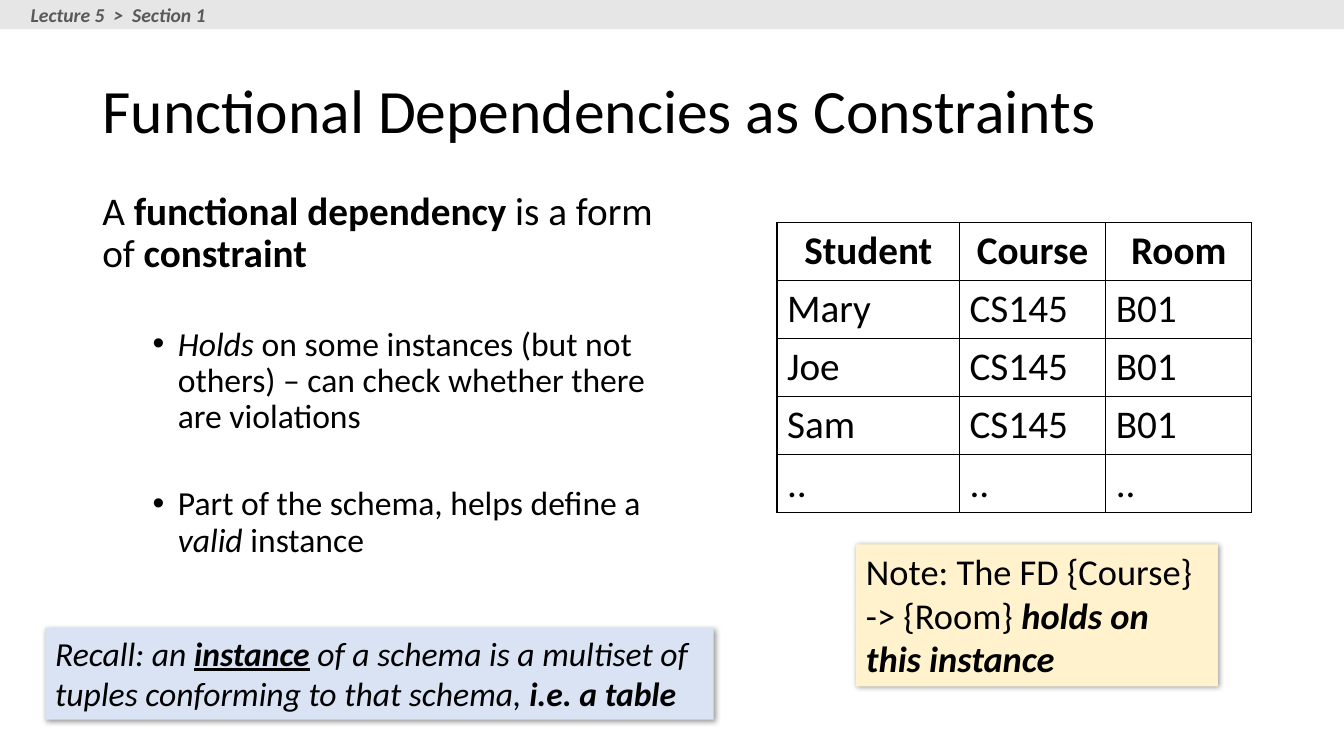
from dataclasses import dataclass

from lxml import etree
from pptx import Presentation
from pptx.dml.color import RGBColor
from pptx.enum.shapes import MSO_SHAPE
from pptx.enum.text import MSO_ANCHOR, MSO_AUTO_SIZE, PP_ALIGN
from pptx.oxml import parse_xml
from pptx.oxml.ns import nsdecls, qn
from pptx.util import Pt

BLACK = RGBColor(0x00, 0x00, 0x00)
GREY = RGBColor(0xE7, 0xE6, 0xE6)
SLATE = RGBColor(0x59, 0x59, 0x59)
CREAM = RGBColor(0xFF, 0xF2, 0xCC)
BLUE = RGBColor(0xDA, 0xE3, 0xF3)
RECT = MSO_SHAPE.RECTANGLE
LEFT, CENTER = PP_ALIGN.LEFT, PP_ALIGN.CENTER
TOP, MIDDLE = MSO_ANCHOR.TOP, MSO_ANCHOR.MIDDLE
GROW, FIXED = MSO_AUTO_SIZE.SHAPE_TO_FIT_TEXT, MSO_AUTO_SIZE.NONE
FACE = "Calibri"
TITLE_ONLY = 5
WIDTH, HEIGHT = 960, 540


@dataclass
class Piece:
    text: str
    bold: bool = False
    slant: bool = False
    line: bool = False


@dataclass
class Para:
    pieces: list[Piece]
    size: float
    bullet: bool = False
    before: float = 0
    pitch: float = 1


@dataclass
class Note:
    box: tuple[float, float, float, float]
    fill: RGBColor
    para: Para


NOTES = [
    Note((611.5, 388.8, 258.5, 101.5), CREAM, Para([
        Piece("Note: The FD {Course} -> {Room} "),
        Piece("holds on this instance", bold=True, slant=True)], 26)),
    Note((32.4, 448.5, 477.4, 65.5), BLUE, Para([
        Piece("Recall: an ", slant=True),
        Piece("instance", bold=True, slant=True, line=True),
        Piece(" of a schema is a multiset of tuples conforming to that schema, ", slant=True),
        Piece("i.e. a table", bold=True, slant=True)], 24)),
]

BODY = [
    Para([Piece("A "), Piece("functional dependency ", bold=True),
          Piece("is a form of "), Piece("constraint", bold=True)], 28, pitch=0.9),
    Para([Piece("Holds", slant=True),
          Piece(" on some instances (but not others) – can check whether there are violations")],
         24, bullet=True, before=36.4, pitch=0.9),
    Para([Piece("Part of the schema, helps define a "), Piece("valid ", slant=True),
          Piece("instance")], 24, bullet=True, before=36.4, pitch=0.9),
]

ROWS = [
    ("Student", "Course", "Room"),
    ("Mary", "CS145", "B01"),
    ("Joe", "CS145", "B01"),
    ("Sam", "CS145", "B01"),
    ("..", "..", ".."),
]
COLS = (130.4, 104.4, 104.4)
ROW_H = 41.4


def place(box: tuple) -> list:
    return [Pt(v) for v in box]


def style(font, size: float, color: RGBColor = BLACK,
          bold: bool = False, slant: bool = False) -> None:
    font.name = FACE
    font.size = Pt(size)
    font.color.rgb = color
    font.bold = bold
    font.italic = slant


def write(frame, paras: list[Para], color: RGBColor = BLACK) -> None:
    frame.vertical_anchor = TOP
    for i, para in enumerate(paras):
        p = frame.add_paragraph() if i else frame.paragraphs[0]
        p.alignment = LEFT
        p.line_spacing = para.pitch
        if para.before:
            p.space_before = Pt(para.before)
        if para.bullet:
            p.level = 1
            props = p._p.get_or_add_pPr()
            props.set("marL", str(Pt(54)))
            props.set("indent", str(-Pt(18)))
            etree.SubElement(props, qn("a:buFont")).set("typeface", "Arial")
            etree.SubElement(props, qn("a:buChar")).set("char", "•")
        for piece in para.pieces:
            run = p.add_run()
            run.text = piece.text
            style(run.font, para.size, color, piece.bold, piece.slant)
            run.font.underline = piece.line


def panel(shapes, box: tuple, fill: RGBColor):
    shape = shapes.add_shape(RECT, *place(box))
    shape.shadow.inherit = False
    shape.fill.solid()
    shape.fill.fore_color.rgb = fill
    shape.line.fill.background()
    return shape


def shade(shape) -> None:
    glow = shape._element.spPr.find(qn("a:effectLst"))
    glow.append(parse_xml(
        f'<a:outerShdw {nsdecls("a")} blurRad="{Pt(4)}" dist="{Pt(1)}" '
        f'dir="{45 * 60000}" algn="tl" rotWithShape="0">'
        f'<a:srgbClr val="{BLACK}"><a:alpha val="40000"/></a:srgbClr></a:outerShdw>'))


def add_note(shapes, note: Note) -> None:
    shape = panel(shapes, note.box, note.fill)
    shade(shape)
    frame = shape.text_frame
    frame.word_wrap = True
    frame.auto_size = GROW
    write(frame, [note.para])


def add_text(shapes, box: tuple, paras: list[Para], color: RGBColor = BLACK,
             wrap: bool = True) -> None:
    frame = shapes.add_textbox(*place(box)).text_frame
    frame.word_wrap = wrap
    frame.auto_size = FIXED if wrap else GROW
    write(frame, paras, color)


def frame_cell(cell) -> None:
    cell.fill.background()
    props = cell._tc.get_or_add_tcPr()
    for i, side in enumerate(("lnL", "lnR", "lnT", "lnB")):
        props.insert(i, parse_xml(
            f'<a:{side} {nsdecls("a")} w="{Pt(1)}"><a:solidFill>'
            f'<a:srgbClr val="{BLACK}"/></a:solidFill></a:{side}>'))


def add_grid(shapes, left: float, top: float) -> None:
    box = (left, top, sum(COLS), ROW_H * len(ROWS))
    table = shapes.add_table(len(ROWS), len(COLS), *place(box)).table
    table.first_row = False
    table.horz_banding = False
    for col, width in zip(table.columns, COLS):
        col.width = Pt(width)
    for r, row in enumerate(ROWS):
        table.rows[r].height = Pt(ROW_H)
        for c, text in enumerate(row):
            cell = table.cell(r, c)
            frame_cell(cell)
            cell.text_frame.text = text
            p = cell.text_frame.paragraphs[0]
            p.alignment = LEFT if r else CENTER
            style(p.runs[0].font, 28, bold=r == 0)


def add_title(title, text: str) -> None:
    title.left, title.top, title.width, title.height = place((66, 28.8, 828, 104.4))
    frame = title.text_frame
    frame.text = text
    frame.word_wrap = True
    frame.auto_size = FIXED
    frame.vertical_anchor = MIDDLE
    p = frame.paragraphs[0]
    p.alignment = LEFT
    p.line_spacing = 0.9
    style(p.runs[0].font, 44)


def main() -> None:
    deck = Presentation()
    deck.slide_width, deck.slide_height = Pt(WIDTH), Pt(HEIGHT)
    slide = deck.slides.add_slide(deck.slide_layouts[TITLE_ONLY])
    shapes = slide.shapes
    add_title(shapes.title, "Functional Dependencies as Constraints")
    add_grid(shapes, 555, 159)
    add_text(shapes, (66, 133.2, 410.4, 315.4), BODY)
    panel(shapes, (0, 0, WIDTH, 20.8), GREY)
    crumb = Para([Piece("Lecture 5  >  Section 1", bold=True, slant=True)], 14)
    add_text(shapes, (14.8, -1.2, 143.3, 24.2), [crumb], SLATE, wrap=False)
    for note in NOTES:
        add_note(shapes, note)
    deck.save("out.pptx")


if __name__ == "__main__":
    main()
